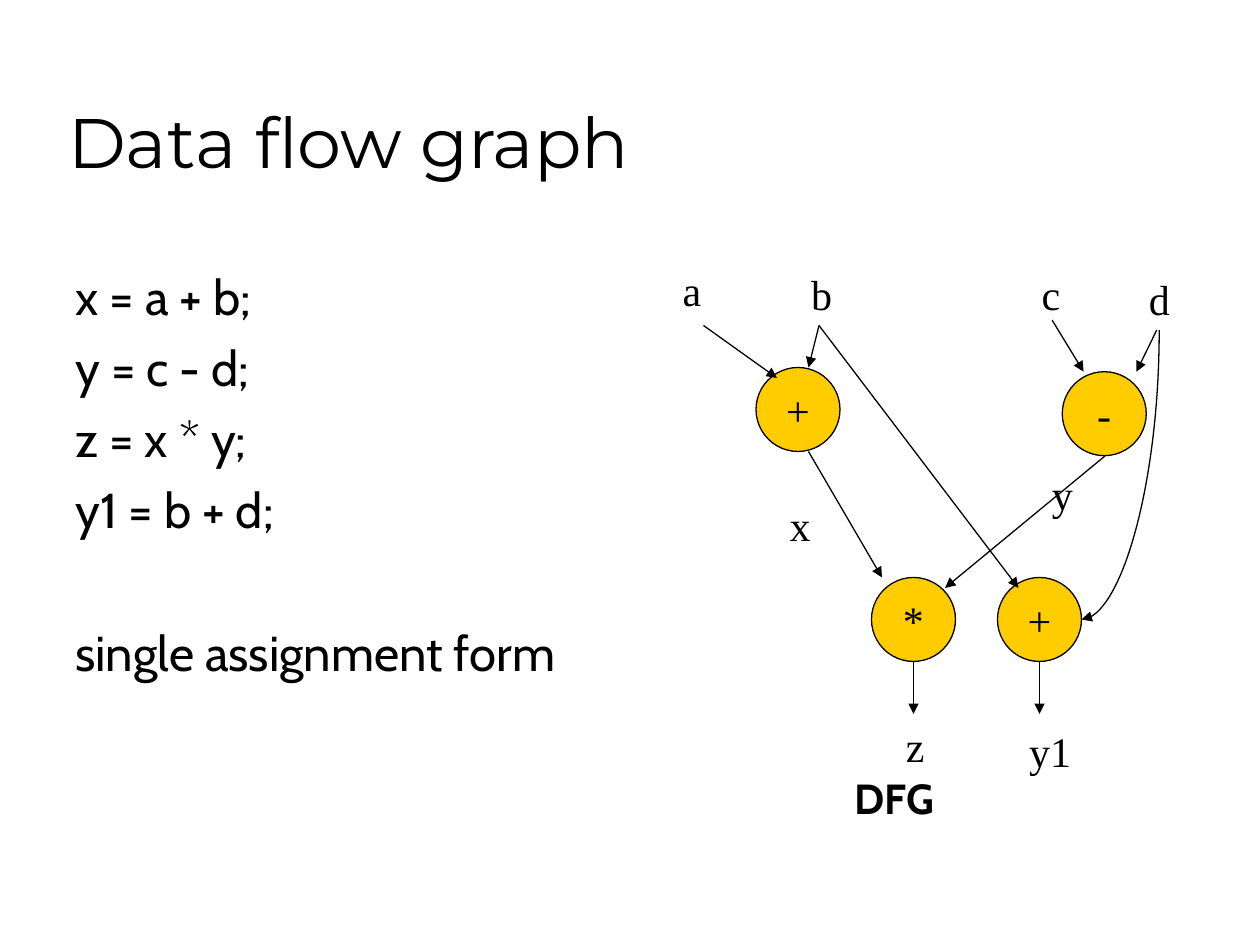
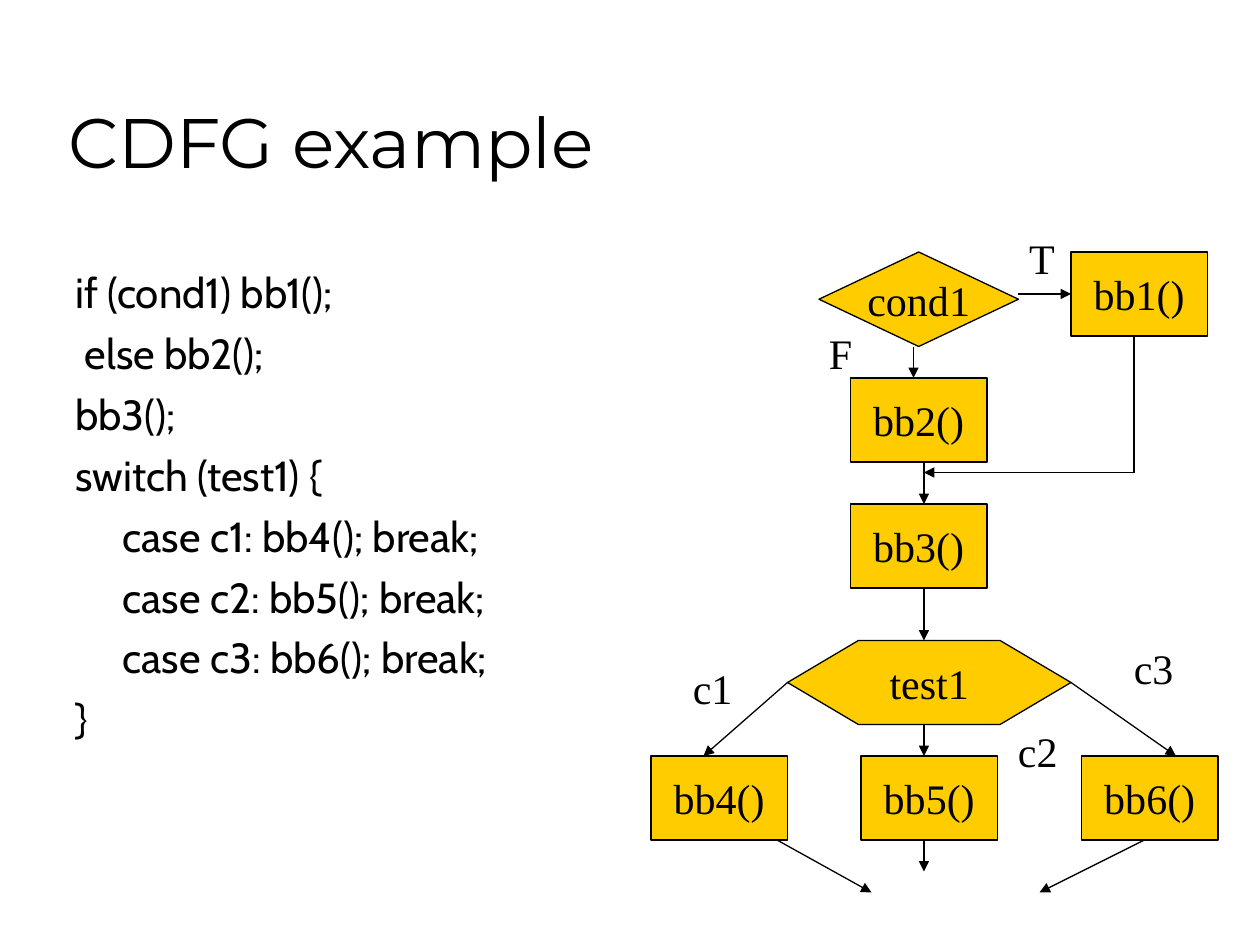
from collections import namedtuple

from lxml import etree
from pptx import Presentation
from pptx.dml.color import RGBColor
from pptx.enum.shapes import MSO_CONNECTOR, MSO_SHAPE
from pptx.enum.text import MSO_ANCHOR, MSO_AUTO_SIZE, PP_ALIGN
from pptx.oxml.ns import qn
from pptx.util import Pt

STRAIGHT, CURVE = MSO_CONNECTOR.STRAIGHT, MSO_CONNECTOR.CURVE
OVAL, RECT = MSO_SHAPE.OVAL, MSO_SHAPE.RECTANGLE
DIAMOND, HEXAGON = MSO_SHAPE.DIAMOND, MSO_SHAPE.HEXAGON
LEFT, CENTER = PP_ALIGN.LEFT, PP_ALIGN.CENTER
TOP, MIDDLE, BOTTOM = MSO_ANCHOR.TOP, MSO_ANCHOR.MIDDLE, MSO_ANCHOR.BOTTOM
NO_FIT, GROW = MSO_AUTO_SIZE.NONE, MSO_AUTO_SIZE.SHAPE_TO_FIT_TEXT

BLACK = RGBColor(0x00, 0x00, 0x00)
GOLD = RGBColor(0xFF, 0xCC, 0x00)

HEADING = {"name": "Montserrat", "size": Pt(40), "bold": False}
CODE = {"name": "Cabin", "bold": False}
DIAGRAM = {"name": "Times New Roman", "size": Pt(24), "bold": False}
CAPTION = {"name": "Cabin", "size": Pt(24), "bold": True}

Box = namedtuple("Box", "left top width height")
TITLE_BOX = Box(31.7, 18, 612, 90)
CODE_BOX = Box(36, 148.7, 316, 328)
DATA_FLOW_BOX = Box(360, 144, 336, 336)
CONTROL_FLOW_BOX = Box(360, 120, 336, 390)
LINE_WIDTH = 0.75
LABEL_HEIGHT = 36
CASE_LABEL_WIDTH = 40
OPERATOR_SIZE = (48, 48)
BLOCK_SIZE = (78, 48)
CASE_INDENT = 27


# Shared formatting
def style_font(font, style):
    for key, value in style.items():
        setattr(font, key, value)
    font.color.rgb = BLACK


def set_frame(frame, anchor, wrap, fit):
    settings = {
        "margin_left": Pt(7.2), "margin_right": Pt(7.2),
        "margin_top": Pt(3.6), "margin_bottom": Pt(3.6),
        "vertical_anchor": anchor, "word_wrap": wrap, "auto_size": fit,
    }
    for key, value in settings.items():
        setattr(frame, key, value)


def write(frame, text, style, align=LEFT):
    frame.text = text
    frame.paragraphs[0].alignment = align
    style_font(frame.paragraphs[0].font, style)


def add_title(slide, text, box):
    title = slide.shapes.title
    for key, value in box._asdict().items():
        setattr(title, key, Pt(value))
    set_frame(title.text_frame, BOTTOM, True, NO_FIT)
    write(title.text_frame, text, HEADING)


# Code listing: each line is (text, indent, space before)
def add_code(slide, box, lines, size):
    frame = slide.shapes.add_textbox(*map(Pt, box)).text_frame
    set_frame(frame, TOP, True, NO_FIT)
    for number, (text, indent, gap) in enumerate(lines):
        line = frame.add_paragraph() if number else frame.paragraphs[0]
        line.add_run().text = text
        if indent:
            line._p.get_or_add_pPr().set("marL", str(Pt(indent)))
        if number:
            line.space_before = Pt(gap)
        style_font(line.font, {**CODE, "size": Pt(size)})


# Diagram parts, placed relative to the box
def add_node(slide, box, kind, text, x, y, size):
    node = slide.shapes.add_shape(
        kind, Pt(box.left + x), Pt(box.top + y), *map(Pt, size))
    node.shadow.inherit = False
    node.fill.solid()
    node.fill.fore_color.rgb = GOLD
    node.line.color.rgb = BLACK
    node.line.width = Pt(LINE_WIDTH)
    set_frame(node.text_frame, MIDDLE, False, NO_FIT)
    write(node.text_frame, text, DIAGRAM, CENTER)
    return node


def add_label(slide, box, text, x, y, width, style=DIAGRAM):
    label = slide.shapes.add_textbox(
        Pt(box.left + x), Pt(box.top + y), Pt(width), Pt(LABEL_HEIGHT))
    set_frame(label.text_frame, TOP, False, GROW)
    write(label.text_frame, text, style)


def add_edge(slide, box, x1, y1, x2, y2, arrow=True, kind=STRAIGHT):
    edge = slide.shapes.add_connector(
        kind, Pt(box.left + x1), Pt(box.top + y1),
        Pt(box.left + x2), Pt(box.top + y2))
    edge.line.color.rgb = BLACK
    edge.line.width = Pt(LINE_WIDTH)
    properties = edge._element.spPr
    if arrow:
        etree.SubElement(edge.line._get_or_add_ln(), qn("a:tailEnd"), type="triangle")
    etree.SubElement(properties, qn("a:effectLst"))
    return edge


def add_bend(slide, box, x1, y1, x2, y2):
    """Curve that leaves downwards and arrives from the right."""
    middle_x, middle_y = (x1 + x2) / 2, (y1 + y2) / 2
    half_run, half_rise = (y2 - y1) / 2, (x1 - x2) / 2
    bend = add_edge(slide, box, middle_x - half_run, middle_y - half_rise,
                    middle_x + half_run, middle_y + half_rise, kind=CURVE)
    properties = bend._element.spPr
    properties.find(qn("a:xfrm")).set("rot", str(90 * 60000))
    properties.find(qn("a:prstGeom")).set("prst", "curvedConnector2")


# Data flow graph
def add_data_flow(slide, box):
    operators = [("+", 72, 66), ("-", 247, 68.4), ("+", 210, 186), ("*", 138, 186)]
    for sign, x, y in operators:
        add_node(slide, box, OVAL, sign, x, y, OPERATOR_SIZE)

    variables = [
        ("a", 23, 3.6, 25.2), ("b", 96.5, 5.8, 25.9),
        ("c", 228.2, 5.8, 25.2), ("d", 289.4, 8.6, 25.9),
        ("x", 84.2, 138.2, 25.9), ("y", 234, 120.2, 25.9),
        ("z", 150.5, 264.2, 25.2), ("y1", 221, 267.1, 40),
    ]
    for variable in variables:
        add_label(slide, box, *variable)
    add_label(slide, box, "DFG", 121, 293.8, 62.6, CAPTION)

    flows = [
        (42, 42, 84, 72), (108, 42, 102, 66), (108, 42, 222, 192),
        (241.2, 38.9, 259.2, 68.4), (301, 44.6, 289.4, 68.4),
        (102, 114, 144, 186), (271.4, 116.6, 180, 192),
        (162, 234, 162, 264), (234, 234, 234, 264),
    ]
    for flow in flows:
        add_edge(slide, box, *flow)
    add_bend(slide, box, 302.4, 44.6, 258, 210)


# Control/data flow graph
def add_control_flow(slide, box):
    add_node(slide, box, DIAMOND, "cond1", 108, 24, (114, 54))
    positions = [(252, 24), (126, 96), (126, 168), (12, 312), (132, 312), (258, 312)]
    blocks = [add_node(slide, box, RECT, f"bb{number}()", x, y, BLOCK_SIZE)
              for number, (x, y) in enumerate(positions, 1)]
    test = add_node(slide, box, HEXAGON, "test1", 90, 246, (162, 48))
    test.adjustments[0] = 0.844

    outcomes = [
        ("T", 221, 9.6, 30), ("F", 106.6, 63.6, 29),
        ("c1", 28.8, 255.1, CASE_LABEL_WIDTH),
        ("c2", 214.6, 291.1, CASE_LABEL_WIDTH),
        ("c3", 280.8, 243.6, CASE_LABEL_WIDTH),
    ]
    for outcome in outcomes:
        add_label(slide, box, *outcome)

    true_branch = add_edge(slide, box, 222, 48, 252, 48)
    true_branch.end_connect(blocks[0], 1)

    spine = 168
    for start, end in [(144, 168), (216, 246), (294, 312), (360, 378)]:
        add_edge(slide, box, spine, start, spine, end)
    branches = [
        (162, 78, 162, 96), (90, 270, 42, 312), (252, 270, 312, 312),
        (84, 360, 138, 390), (294, 360, 234, 390),
    ]
    for branch in branches:
        add_edge(slide, box, *branch)

    # bb1 rejoins the spine above bb3
    add_edge(slide, box, 288, 72, 288, 150, arrow=False)
    add_edge(slide, box, 288, 150, spine, 150)


def new_slide(deck, title):
    slide = deck.slides.add_slide(deck.slide_layouts[5])
    add_title(slide, title, TITLE_BOX)
    return slide


def build_data_flow_slide(deck):
    slide = new_slide(deck, "Data flow graph")
    lines = [(text, 0, 7) for text in
             ("x = a + b;", "y = c - d;", "z = x * y;", "y1 = b + d;")]
    lines.append(("single assignment form", 0, 47.7))
    add_code(slide, CODE_BOX, lines, 28)
    add_data_flow(slide, DATA_FLOW_BOX)


def build_control_flow_slide(deck):
    slide = new_slide(deck, "CDFG example")
    opening = ("if (cond1) bb1();", " else bb2();", "bb3();", "switch (test1) {")
    lines = [(text, 0, 6) for text in opening]
    lines += [(f"case c{case}: bb{case + 3}(); break;", CASE_INDENT, 6)
              for case in (1, 2, 3)]
    lines.append(("}", 0, 6))
    add_code(slide, CODE_BOX, lines, 24)
    add_control_flow(slide, CONTROL_FLOW_BOX)


def main():
    deck = Presentation()
    deck.slide_width, deck.slide_height = Pt(720), Pt(540)
    build_data_flow_slide(deck)
    build_control_flow_slide(deck)
    deck.save("out.pptx")


if __name__ == "__main__":
    main()
